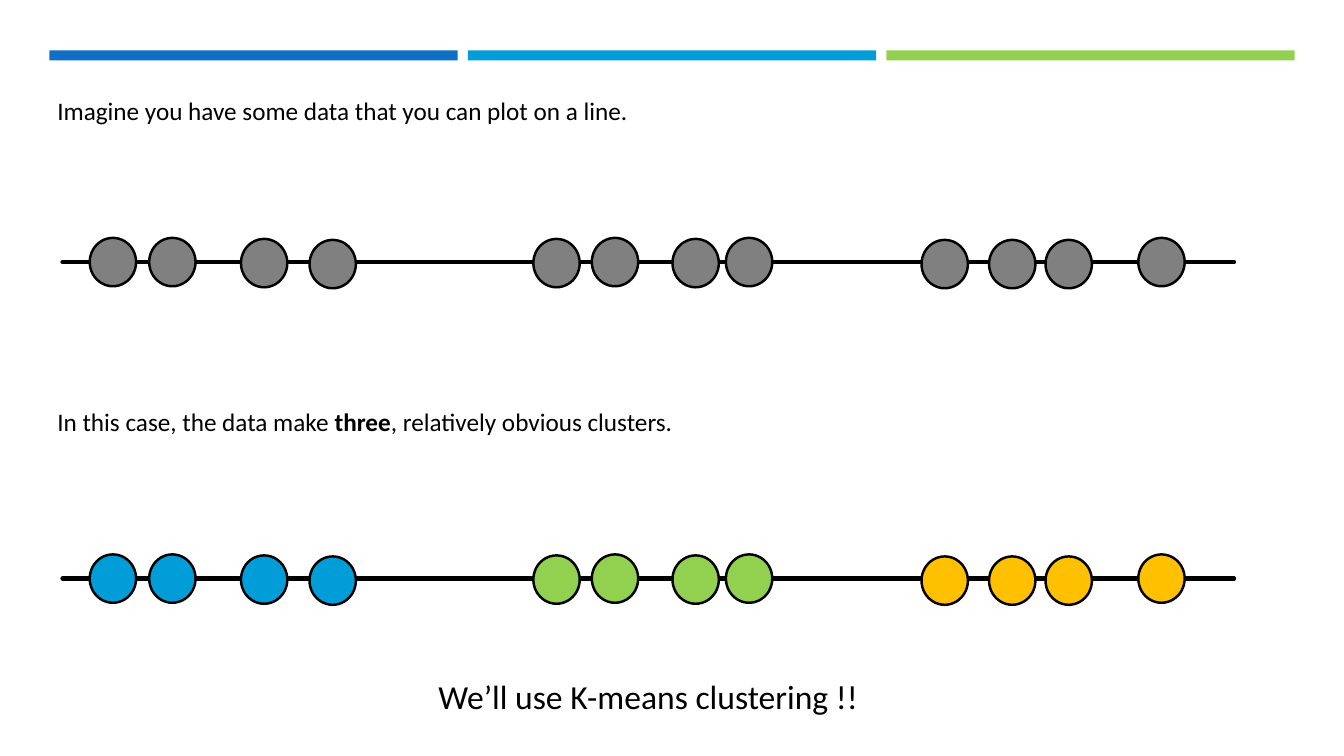
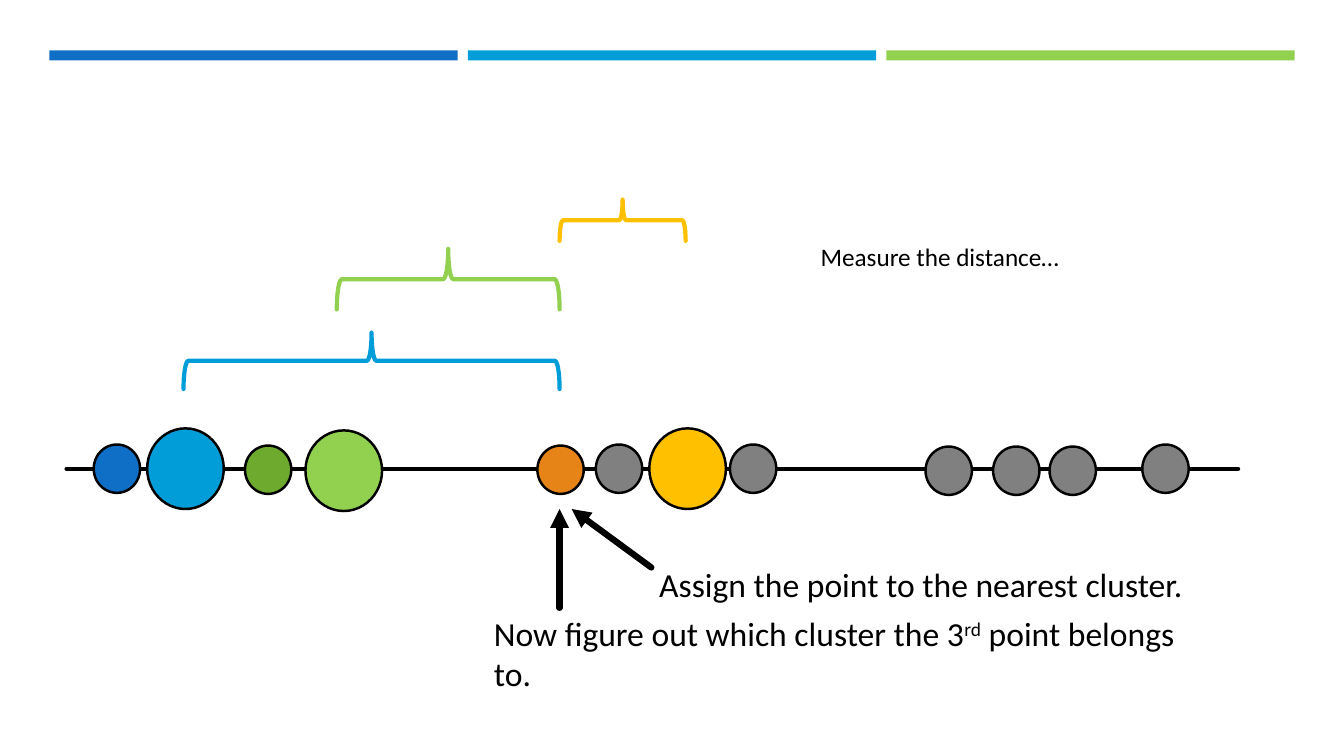
from pptx import Presentation
from pptx.dml.color import RGBColor
from pptx.enum.shapes import MSO_CONNECTOR, MSO_SHAPE
from pptx.oxml.ns import qn
from pptx.util import Inches, Pt
from lxml.etree import SubElement

FONT = "Calibri"
COLORS = {
    "black": "000000", "grey": "808080", "navy": "0F6FC6", "blue": "009DD9",
    "lime": "92D050", "leaf": "6EAA2E", "gold": "FFC000", "orange": "E68418",
}
SLIDE_W, SLIDE_H = 13.33, 7.5
BAND_LEFT, BAND_TOP, BAND_W, BAND_H, BAND_GAP = 0.49, 0.5, 4.05, 0.1, 0.1
LINE_LENGTH = 11.62
DOT = (0.46, 0.48)
MEAN = (0.76, 0.8)
# Data points: centre along the line, drop below it
POINTS = [
    (0.5, 0), (1.09, 0), (2, 0.01), (2.68, 0.02),
    (4.9, 0.01), (5.48, 0), (6.28, 0.01), (6.81, 0),
    (8.75, 0.02), (9.42, 0.02), (9.98, 0.02), (10.9, 0),
]


def color(name):
    return RGBColor.from_string(COLORS[name])


def add_shape(slide, kind, left, top, width, height, fill=None, line=None, weight=1.75):
    sp = slide.shapes.add_shape(kind, Inches(left), Inches(top), Inches(width), Inches(height))
    sp.shadow.inherit = False
    if fill:
        sp.fill.solid()
        sp.fill.fore_color.rgb = color(fill)
    else:
        sp.fill.background()
    if line:
        sp.line.color.rgb = color(line)
        sp.line.width = Pt(weight)
    else:
        sp.line.fill.background()
    return sp


def add_line(slide, start, end, weight=3, arrow=False):
    line = slide.shapes.add_connector(
        MSO_CONNECTOR.STRAIGHT, *(Inches(v) for v in (*start, *end)))
    line.line.color.rgb = color("black")
    line.line.width = Pt(weight)
    ln = line.line._get_or_add_ln()
    ln.set("cap", "rnd")
    if arrow:
        SubElement(ln, qn("a:tailEnd"), type="triangle")
    SubElement(line.element.spPr, qn("a:effectLst"))


def add_text(slide, left, top, width, height, size, *runs):
    """Each run is its text and the font attributes it sets."""
    box = slide.shapes.add_textbox(Inches(left), Inches(top), Inches(width), Inches(height))
    tf = box.text_frame
    tf.word_wrap = True
    p = tf.paragraphs[0]
    p.font.name = FONT
    p.font.size = Pt(size)
    p.font.color.rgb = color("black")
    for text, attributes in runs:
        r = p.add_run()
        r.text = text
        for name, value in attributes.items():
            r.font._element.set(name, value)


def add_circle(slide, x, y, size, fill):
    width, height = size
    add_shape(slide, MSO_SHAPE.OVAL, x - width / 2, y - height / 2, width, height, fill, "black")


def add_number_line(slide, left, y, fills):
    """Draw the axis and one dot for each point that has a fill."""
    add_line(slide, (left, y), (left + LINE_LENGTH, y))
    for (x, drop), fill in zip(POINTS, fills):
        if fill:
            add_circle(slide, left + x, y + drop, DOT, fill)


def add_distance(slide, left, right, top, height, line):
    """Draw a brace that spans left to right and points up."""
    span = right - left
    sp = add_shape(slide, MSO_SHAPE.LEFT_BRACE, (left + right - height) / 2,
                   top + (height - span) / 2, height, span, line=line, weight=3)
    sp.line._get_or_add_ln().set("cap", "rnd")
    sp.rotation = 90


def add_bands(prs, slide):
    """Draw the bands and move them to the master, which all slides share."""
    for i, fill in enumerate(("navy", "blue", "lime")):
        left = BAND_LEFT + i * (BAND_W + BAND_GAP)
        band = add_shape(slide, MSO_SHAPE.RECTANGLE, left, BAND_TOP, BAND_W, BAND_H, fill)
        prs.slide_master.shapes.element.append(band.element)


def build_clusters(slide):
    left, width = 0.47, 12.21
    # Plain data
    add_text(slide, left, 0.9, width, 0.4, 18,
             ("Imagine you have some data that you can plot on a line.", {}))
    add_number_line(slide, 0.62, 2.6, ["grey"] * len(POINTS))
    # Clustered data
    add_text(slide, left, 3.98, width, 0.4, 18,
             ("In this case, the data make ", {}), ("three", {"b": "1"}),
             (", relatively obvious clusters.", {}))
    add_number_line(slide, 0.62, 5.74, ["blue"] * 4 + ["lime"] * 4 + ["gold"] * 4)
    add_text(slide, 4.25, 6.66, 7.78, 0.5, 24, ("We’ll use K-means clustering !!", {}))


def build_distances(slide):
    left, y, third = 0.66, 4.65, 5.55
    # Points, with the cluster means in place of three of them
    add_number_line(slide, left, y, ["navy", None, "leaf", None, "orange", "grey", None]
                    + ["grey"] * 5)
    means = (("blue", 1.84, 0), ("lime", 3.41, 0.02), ("gold", 6.82, 0))
    for fill, x, drop in means:
        add_circle(slide, x, y + drop, MEAN, fill)
    # Distances to the third point
    add_distance(slide, 1.82, third, 3.3, 0.56, "blue")
    add_distance(slide, 3.34, third, 2.47, 0.6, "lime")
    add_distance(slide, third, 6.8, 1.98, 0.41, "gold")
    add_text(slide, 8.04, 2.34, 3.1, 0.4, 18, ("Measure the distance…", {}))
    # Captions and arrows
    add_line(slide, (third, 6.03), (third, 5.05), 4.5, arrow=True)
    add_line(slide, (6.46, 5.63), (5.67, 5.05), 4.5, arrow=True)
    add_text(slide, 6.44, 5.55, 6.5, 0.5, 24, ("Assign the point to the nearest cluster.", {}))
    add_text(slide, 4.8, 6.03, 7.28, 0.91, 24,
             ("Now figure out which cluster the 3", {}), ("rd", {"baseline": "30000"}),
             (" point belongs to.", {}))


def main():
    prs = Presentation()
    prs.slide_width, prs.slide_height = Inches(SLIDE_W), Inches(SLIDE_H)
    blank = prs.slide_layouts[6]
    slides = [prs.slides.add_slide(blank) for _ in range(2)]
    add_bands(prs, slides[0])
    build_clusters(slides[0])
    build_distances(slides[1])
    prs.save("out.pptx")


if __name__ == "__main__":
    main()
